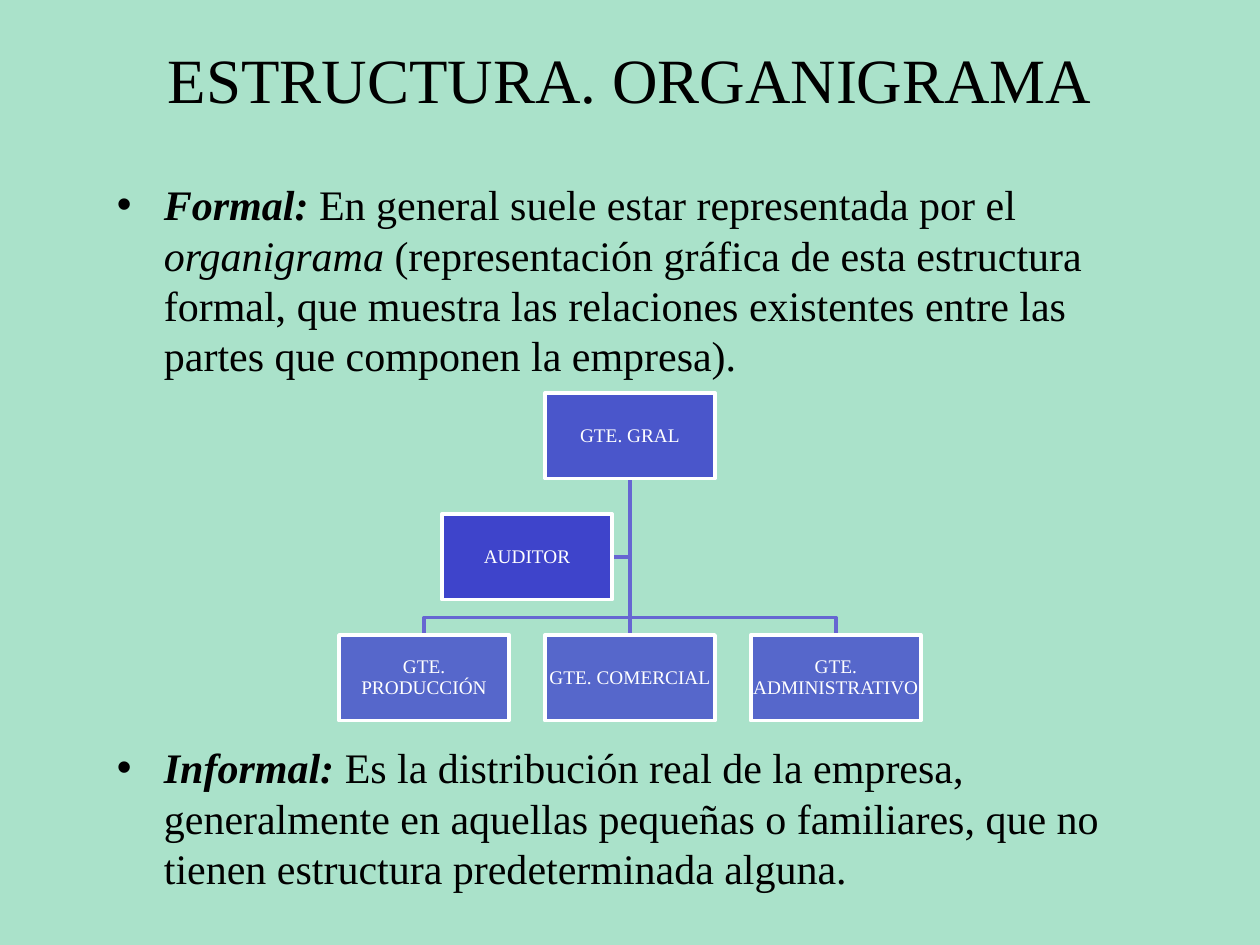
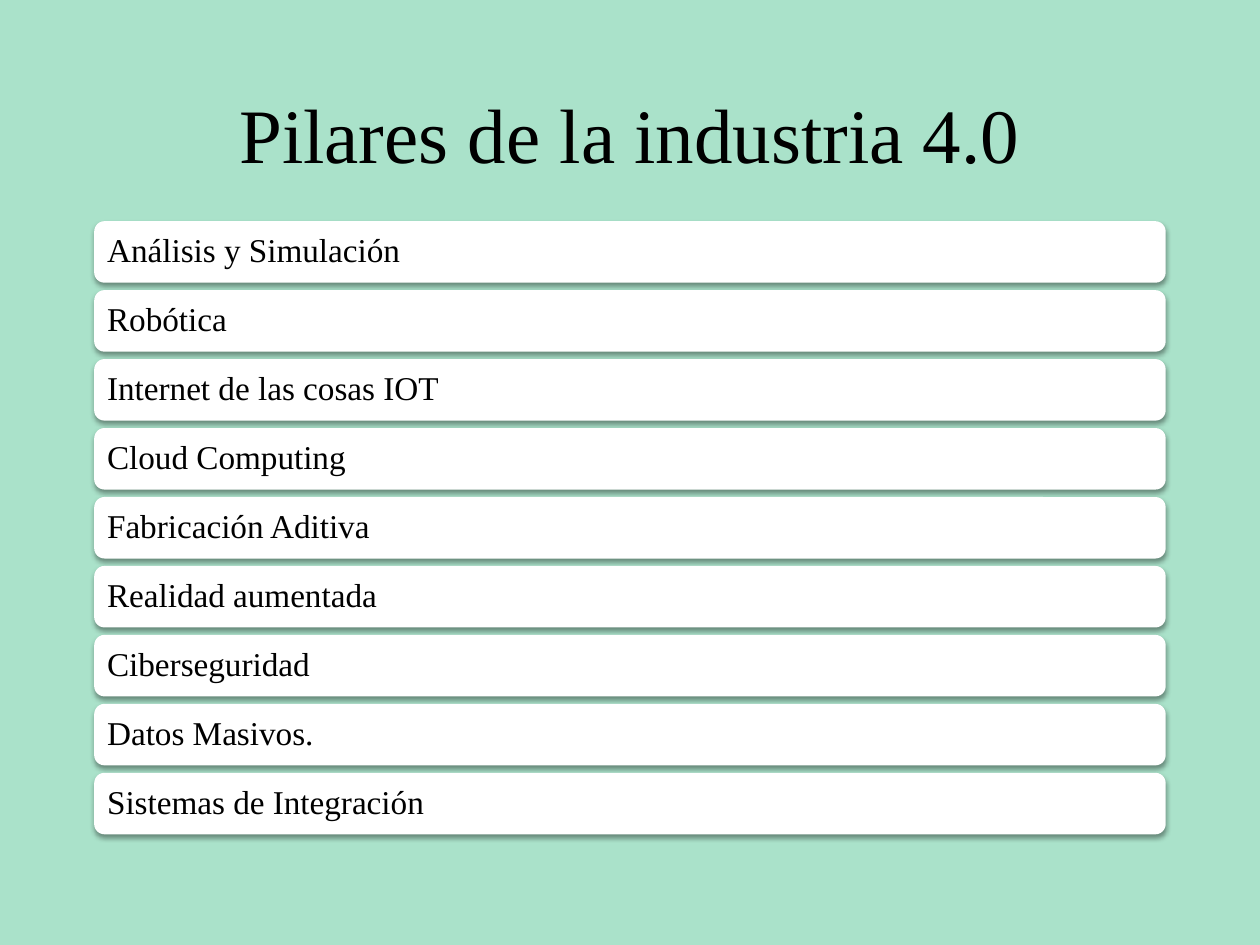
"""Build two slides on company structure and the pillars of industry 4.0."""
from dataclasses import dataclass

from lxml.etree import SubElement
from pptx import Presentation
from pptx.dml.color import RGBColor
from pptx.enum.shapes import MSO_CONNECTOR, MSO_SHAPE
from pptx.enum.text import MSO_ANCHOR, MSO_AUTO_SIZE, PP_ALIGN
from pptx.oxml.ns import qn
from pptx.shapes.autoshape import Shape
from pptx.slide import Slide
from pptx.text.text import TextFrame, _Paragraph
from pptx.util import Cm, Length, Pt


@dataclass(frozen=True)
class Theme:
    """Colours, font and type sizes shared by the slides."""
    font: str = "Times New Roman"
    background: RGBColor = RGBColor(0xAA, 0xE2, 0xCA)
    ink: RGBColor = RGBColor(0, 0, 0)
    paper: RGBColor = RGBColor(0xFF, 0xFF, 0xFF)
    post: RGBColor = RGBColor(0x33, 0x33, 0xCC)
    branch: RGBColor = RGBColor(0x66, 0x66, 0xD2)
    heading_size: Length = Pt(36)
    large_heading_size: Length = Pt(44)
    body_size: Length = Pt(24)
    body_leading: Length = Pt(28.7)
    pillar_size: Length = Pt(19)
    post_size: Length = Pt(11)
    stroke: Length = Pt(2)


@dataclass(frozen=True)
class Phrase:
    """A stretch of text with one emphasis."""
    text: str
    bold: bool = False
    italic: bool = False


@dataclass(frozen=True)
class Definition:
    """A bulleted definition and the space above it."""
    phrases: tuple[Phrase, ...]
    space_before: Length = Pt(0)


@dataclass(frozen=True)
class Post:
    """A position in the chart: columns from the centre, level, opacity."""
    name: str
    column: float
    level: int
    opacity: int


THEME = Theme()

DEFINITIONS = (
    Definition((
        Phrase("Formal: ", bold=True, italic=True),
        Phrase("En general suele estar representada por el "),
        Phrase("organigrama ", italic=True),
        Phrase("(representación gráfica de esta estructura formal, que muestra "
               "las relaciones existentes entre las partes que componen la empresa)."),
    )),
    Definition((
        Phrase("Informal: ", bold=True, italic=True),
        Phrase("Es la distribución real de la empresa, generalmente en aquellas "
               "pequeñas o familiares, que no tienen estructura predeterminada alguna."),
    ), space_before=Pt(207)),
)

DIRECTOR = Post("GTE. GRAL", 0, 0, 80)
AUDITOR = Post("AUDITOR", -0.5, 1, 90)
MANAGERS = (
    Post("GTE. PRODUCCIÓN", -1, 2, 70),
    Post("GTE. COMERCIAL", 0, 2, 70),
    Post("GTE. ADMINISTRATIVO", 1, 2, 70),
)

PILLARS = (
    "Análisis y Simulación",
    "Robótica",
    "Internet de las cosas IOT",
    "Cloud Computing",
    "Fabricación Aditiva",
    "Realidad aumentada",
    "Ciberseguridad",
    "Datos Masivos.",
    "Sistemas de Integración",
)

MARGIN = Cm(1.9)
CONTENT_WIDTH = Cm(21.6)
CHART_CENTRE = Cm(12.7)
CHART_TOP = Cm(7.92)
COLUMN_PITCH = Cm(4.15)
LEVEL_PITCH = Cm(2.44)
POST_WIDTH = Cm(3.43)
POST_HEIGHT = Cm(1.73)
BRANCH_RISE = Cm(0.35)
PILLAR_TOP = Cm(4.46)
PILLAR_PITCH = Cm(1.39)
PILLAR_HEIGHT = Cm(1.24)


def add_phrase(paragraph: _Paragraph, phrase: Phrase, size: Length, color: RGBColor) -> None:
    """Append one formatted run."""
    run = paragraph.add_run()
    run.text = phrase.text
    run.font.name = THEME.font
    run.font.size = size
    run.font.bold = phrase.bold
    run.font.italic = phrase.italic
    run.font.color.rgb = color


def set_insets(frame: TextFrame, inset: Length) -> None:
    """Give a text frame the same inset on all sides."""
    frame.margin_left = frame.margin_right = inset
    frame.margin_top = frame.margin_bottom = inset


def set_title(slide: Slide, text: str, top: Length, size: Length) -> None:
    """Place and fill the title."""
    title = slide.shapes.title
    title.left, title.top, title.width, title.height = MARGIN, top, CONTENT_WIDTH, Cm(3.17)
    frame = title.text_frame
    frame.auto_size = MSO_AUTO_SIZE.NONE
    frame.vertical_anchor = MSO_ANCHOR.MIDDLE
    paragraph = frame.paragraphs[0]
    paragraph.alignment = PP_ALIGN.CENTER
    add_phrase(paragraph, Phrase(text), size, THEME.ink)


def set_definitions(slide: Slide) -> None:
    """Fill the body with bulleted definitions that leave room for the chart."""
    body = slide.placeholders[1]
    body.left, body.top, body.width, body.height = Cm(2.1), Cm(1.93), CONTENT_WIDTH, Cm(11.43)
    frame = body.text_frame
    frame.auto_size = MSO_AUTO_SIZE.NONE
    frame.vertical_anchor = MSO_ANCHOR.TOP
    frame.margin_top = Cm(1.68)
    for index, definition in enumerate(DEFINITIONS):
        paragraph = frame.add_paragraph() if index else frame.paragraphs[0]
        properties = paragraph._p.get_or_add_pPr()
        properties.set("marL", str(Cm(0.95)))
        properties.set("indent", str(-Cm(0.95)))
        SubElement(properties, qn("a:buChar")).set("char", "•")
        paragraph.line_spacing = THEME.body_leading
        paragraph.space_before = definition.space_before
        for phrase in definition.phrases:
            add_phrase(paragraph, phrase, THEME.body_size, THEME.ink)


def add_label(shape: Shape, text: str, size: Length, color: RGBColor,
              alignment: PP_ALIGN, inset: Length) -> None:
    """Write a vertically centred label in a shape."""
    frame = shape.text_frame
    frame.word_wrap = True
    frame.vertical_anchor = MSO_ANCHOR.MIDDLE
    set_insets(frame, inset)
    paragraph = frame.paragraphs[0]
    paragraph.alignment = alignment
    paragraph.line_spacing = 0.9
    add_phrase(paragraph, Phrase(text), size, color)


def post_centre(post: Post) -> Length:
    """Return the horizontal centre of a post."""
    return Length(CHART_CENTRE + round(post.column * COLUMN_PITCH))


def post_top(post: Post) -> Length:
    """Return the upper edge of a post."""
    return Length(CHART_TOP + post.level * LEVEL_PITCH)


def add_post(slide: Slide, post: Post) -> None:
    """Draw one box of the chart."""
    box = slide.shapes.add_shape(MSO_SHAPE.RECTANGLE, post_centre(post) - POST_WIDTH // 2,
                                 post_top(post), POST_WIDTH, POST_HEIGHT)
    box.shadow.inherit = False
    box.fill.solid()
    box.fill.fore_color.rgb = THEME.post
    color = box.element.spPr.find(qn("a:solidFill"))[0]
    SubElement(color, qn("a:alpha")).set("val", str(post.opacity * 1000))
    box.line.color.rgb = THEME.paper
    box.line.width = THEME.stroke
    add_label(box, post.name, THEME.post_size, THEME.paper, PP_ALIGN.CENTER, Cm(0.02))


def add_branch(slide: Slide, points: list[tuple[int, int]]) -> None:
    """Draw a line through the points, bent where there are more than two."""
    if len(points) == 2:
        branch = slide.shapes.add_connector(MSO_CONNECTOR.STRAIGHT, *points[0], *points[1])
        SubElement(branch.element.spPr, qn("a:effectLst"))
    else:
        builder = slide.shapes.build_freeform(*points[0])
        builder.add_line_segments(points[1:], close=False)
        branch = builder.convert_to_shape()
        branch.shadow.inherit = False
        branch.fill.background()
    branch.line.color.rgb = THEME.branch
    branch.line.width = THEME.stroke


def add_organisation_chart(slide: Slide) -> None:
    """Draw the branches and then the posts on top."""
    trunk = (CHART_CENTRE, CHART_TOP + POST_HEIGHT)
    auditor_middle = post_top(AUDITOR) + POST_HEIGHT // 2
    auditor_right = post_centre(AUDITOR) + POST_WIDTH // 2
    add_branch(slide, [trunk, (CHART_CENTRE, auditor_middle), (auditor_right, auditor_middle)])
    for manager in MANAGERS:
        end = (post_centre(manager), post_top(manager))
        fork = end[1] - BRANCH_RISE
        bends = [(CHART_CENTRE, fork), (end[0], fork)] if manager.column else []
        add_branch(slide, [trunk, *bends, end])
    for post in (DIRECTOR, *MANAGERS, AUDITOR):
        add_post(slide, post)


def add_pillar(slide: Slide, name: str, position: int) -> None:
    """Draw one bar of the list with its soft shadow."""
    bar = slide.shapes.add_shape(MSO_SHAPE.ROUNDED_RECTANGLE, MARGIN,
                                 PILLAR_TOP + position * PILLAR_PITCH,
                                 CONTENT_WIDTH, PILLAR_HEIGHT)
    bar.fill.solid()
    bar.fill.fore_color.rgb = THEME.paper
    bar.line.fill.background()
    bar.shadow.inherit = False
    effects = bar.element.spPr.find(qn("a:effectLst"))
    shadow = SubElement(effects, qn("a:outerShdw"), blurRad=str(Pt(3.1)),
                        dist=str(Pt(1.6)), dir="5400000", rotWithShape="0")
    color = SubElement(shadow, qn("a:srgbClr"), val=str(THEME.ink))
    SubElement(color, qn("a:alpha"), val="38000")
    add_label(bar, name, THEME.pillar_size, THEME.ink, PP_ALIGN.LEFT, Cm(0.2))


def main() -> None:
    """Build and save the presentation."""
    presentation = Presentation()
    presentation.slide_width, presentation.slide_height = Cm(25.4), Cm(19.05)
    backdrop = presentation.slide_master.background.fill
    backdrop.solid()
    backdrop.fore_color.rgb = THEME.background
    layouts = presentation.slide_layouts

    structure = presentation.slides.add_slide(layouts.get_by_name("Title and Content"))
    set_title(structure, "ESTRUCTURA. ORGANIGRAMA", Cm(0), THEME.heading_size)
    set_definitions(structure)
    add_organisation_chart(structure)

    industry = presentation.slides.add_slide(layouts.get_by_name("Title Only"))
    set_title(industry, "Pilares de la industria 4.0", Cm(1.1), THEME.large_heading_size)
    for position, name in enumerate(PILLARS):
        add_pillar(industry, name, position)

    presentation.save("out.pptx")


if __name__ == "__main__":
    main()
